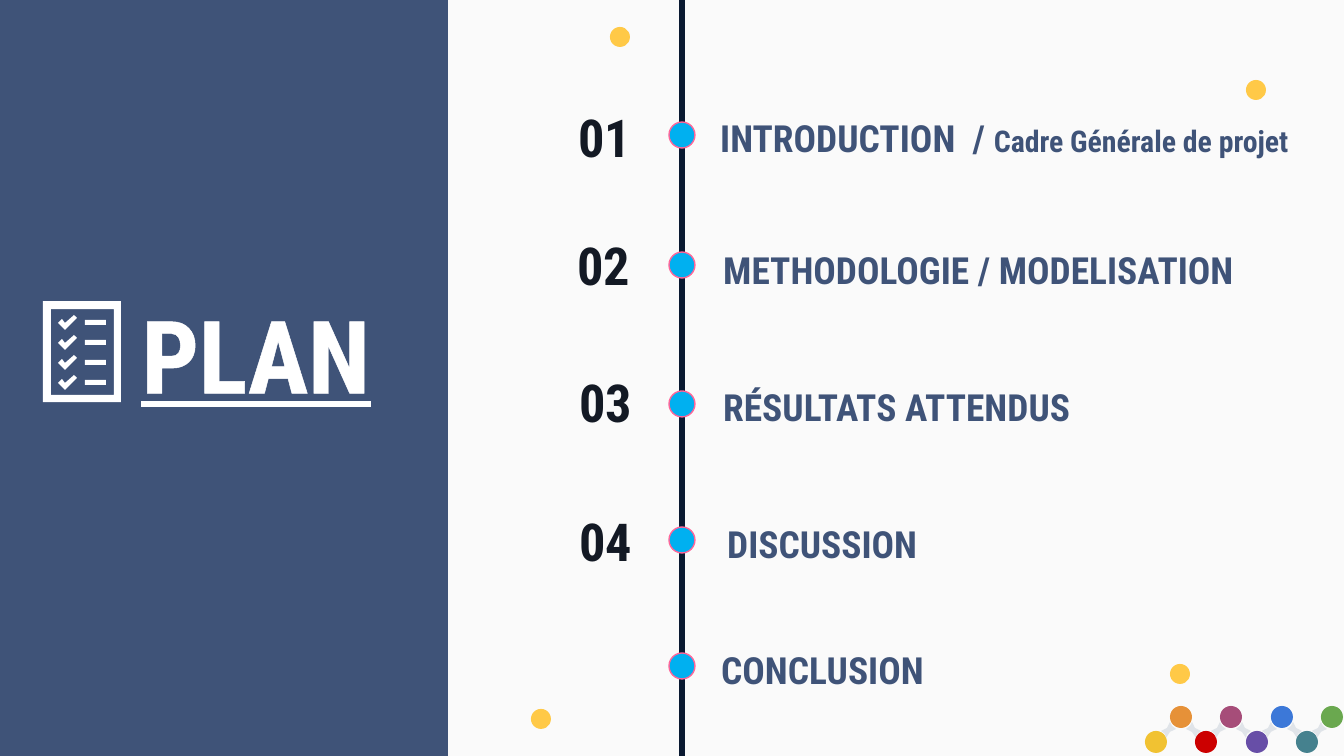
from lxml import etree
from pptx import Presentation, util as u
from pptx.dml.color import RGBColor
from pptx.enum import shapes, text
from pptx.oxml import ns

PX = 914400 / 134.4
WIDTH, HEIGHT = 1344, 756
FONT = "Roboto Condensed"
COLORS = {
    "background": "FAFAFA", "panel": "3F5378", "axis": "0A1931", "number": "131924",
    "white": "FFFFFF", "marker": "00B0F0", "rim": "FF6699", "accent": "FFC947", "link": "E0E4E9",
}
CHAIN = ["F1C232", "E69138", "CC0000", "A64D79", "674EA7", "3C78D8", "45818E", "6AA84F"]
AXIS_X = 682
STEPS = [
    (135, ("01", 560, 99, 90), (707, 109, 637), [("INTRODUCTION  / ", 20), ("Cadre Générale de projet", 16)]),
    (265, ("02", 559, 227, 89), (710, 241, 581), [("METHODOLOGIE / MODELISATION", 20)]),
    (404, ("03", 564, 364, 83), (710, 378, 488), [("RÉSULTATS ATTENDUS", 20)]),
    (540, ("04", 564, 503, 83), (714, 515, 349), [("DISCUSSION", 20)]),
    (666, None, (708, 641, 349), [("CONCLUSION", 20)]),
]
ACCENTS = [(541, 719), (1180, 674), (1256, 90), (620, 37)]
TICK = [(16, 0), (7, 8), (4, 4), (0, 8), (7, 15), (19, 3)]
LINK = [(9, 0), (6, 6), (0, 9), (4, 12), (5, 16), (9, 10), (15, 7), (11, 4)]


def px(value):
    return u.Emu(round(value * PX))


def rgb(color):
    return RGBColor.from_string(COLORS.get(color, color))


def paint(shape, fill, line=None):
    shape.shadow.inherit = False
    shape.fill.solid()
    shape.fill.fore_color.rgb = rgb(fill)
    if line:
        shape.line.color.rgb = rgb(line)
        shape.line.width = u.Pt(0.75)
    else:
        shape.line.fill.background()


def add_preset(parent, kind, left, top, width, height, fill, line=None):
    shape = parent.add_shape(kind, px(left), px(top), px(width), px(height))
    paint(shape, fill, line)


def add_dot(parent, x, y, size, fill, line=None):
    add_preset(parent, shapes.MSO_SHAPE.OVAL, x - size / 2, y - size / 2, size, size, fill, line)


def add_bar(parent, left, top, width, height, fill):
    add_preset(parent, shapes.MSO_SHAPE.RECTANGLE, left, top, width, height, fill)


def add_outline(parent, contours, left, top, fill):
    first, *holes = contours
    builder = parent.build_freeform(*first[0], scale=PX)
    builder.add_line_segments(first[1:], close=True)
    for hole in holes:
        builder.move_to(*hole[0])
        builder.add_line_segments(hole[1:], close=True)
    paint(builder.convert_to_shape(px(left), px(top)), fill)


def add_text(parent, left, top, width, height, parts, color, align):
    box = parent.add_textbox(px(left), px(top), px(width), px(height))
    frame = box.text_frame
    frame.word_wrap = True
    frame.auto_size = text.MSO_AUTO_SIZE.SHAPE_TO_FIT_TEXT
    para = frame.paragraphs[0]
    para.alignment = align
    for words, size in parts:
        span = para.add_run()
        span.text = words
        span.font.name = FONT
        span.font.size = u.Pt(size)
        span.font.bold = True
        span.font.color.rgb = rgb(color)
    return para


def add_axis(parent):
    axis = parent.add_connector(shapes.MSO_CONNECTOR.STRAIGHT, px(AXIS_X), px(0), px(AXIS_X), px(HEIGHT))
    axis.line.color.rgb = rgb("axis")
    axis.line.width = u.Pt(3)
    etree.SubElement(axis._element.spPr, ns.qn("a:effectLst"))


def add_step(parent, y, number, place, parts):
    add_dot(parent, AXIS_X, y, 26, "marker", "rim")
    if number:
        label, left, top, width = number
        add_text(parent, left, top, width, 77, [(label, 28)], "number", text.PP_ALIGN.CENTER)
    add_text(parent, *place, 59, parts, "panel", text.PP_ALIGN.LEFT)


def add_heading(parent):
    para = add_text(parent, 86, 286, 340, 136, [("PLAN", 54)], "white", text.PP_ALIGN.CENTER)
    font = para.runs[0].font
    font.underline = True
    outline = etree.Element(ns.qn("a:ln"), w=str(u.Pt(0.75)))
    fill = etree.SubElement(outline, ns.qn("a:solidFill"))
    etree.SubElement(fill, ns.qn("a:srgbClr"), val=COLORS["white"])
    font._element.insert(0, outline)


def add_checklist(parent):
    icon = parent.add_group_shape().shapes
    outer = [(0, 0), (0, 101), (78, 101), (78, 0)]
    inner = [(8, 8), (71, 8), (71, 94), (8, 94)]
    add_outline(icon, [outer, inner], 43, 301, "white")
    for row in range(4):
        add_bar(icon, 85, 320 + 20 * row, 21, 5, "white")
        add_outline(icon, [TICK], 58, 315 + 20 * row, "white")


def add_chain(parent):
    chain = parent.add_group_shape().shapes
    for index, color in enumerate(CHAIN):
        offset = round(index * 176 / 7)
        falling = index % 2
        add_dot(chain, 1156 + offset, 717 if falling else 742, 22, color)
        if index < len(CHAIN) - 1:
            link = [(15 - x, y) for x, y in LINK] if falling else LINK
            add_outline(chain, [link], 1161 + offset, 722, "link")


def main():
    deck = Presentation()
    deck.slide_width, deck.slide_height = px(WIDTH), px(HEIGHT)
    page = deck.slides.add_slide(deck.slide_layouts[6])
    page.background.fill.solid()
    page.background.fill.fore_color.rgb = rgb("background")
    parent = page.shapes
    add_bar(parent, 0, 0, 448, HEIGHT, "panel")
    add_axis(parent)
    for x, y in ACCENTS:
        add_dot(parent, x, y, 20, "accent")
    for step in STEPS:
        add_step(parent, *step)
    add_heading(parent)
    add_checklist(parent)
    add_chain(parent)
    deck.save("out.pptx")


if __name__ == "__main__":
    main()
